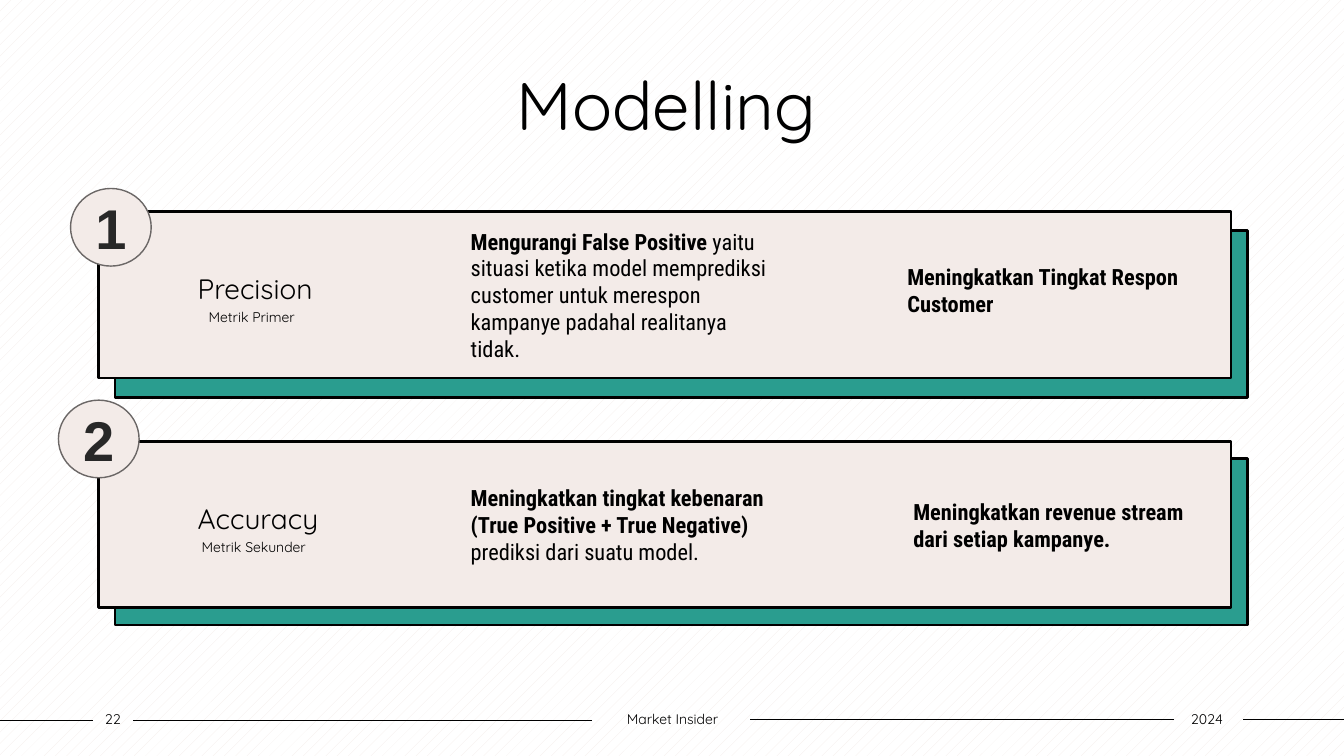
import pptx
import pptx.util
import pptx.dml.color
import pptx.enum.dml
import pptx.enum.shapes
import pptx.enum.text
import pptx.oxml

PX = 9144  # one hundredth of an inch
COLORS = {
    "black": "000000",
    "white": "FFFFFF",
    "teal": "2A9D8F",
    "cream": "F3EBE8",
    "ring": "6B6766",
    "ink": "282828",
}
SHAPE = pptx.enum.shapes.MSO_SHAPE
ALIGN = pptx.enum.text.PP_ALIGN
ANCHOR = pptx.enum.text.MSO_ANCHOR


def color(name):
    return pptx.dml.color.RGBColor.from_string(COLORS[name])


def emu(*lengths):
    return [length * PX for length in lengths]


def style(run, size, face, ink="black", bold=False):
    run.font.size = pptx.util.Pt(size)
    run.font.name = face
    run.font.color.rgb = color(ink)
    run.font.bold = bold


def frame(shape, insets=(10, 5, 10, 5), anchor=ANCHOR.MIDDLE):
    """Set wrapping, anchor and insets (left, top, right, bottom)."""
    text = shape.text_frame
    text.word_wrap = True
    text.vertical_anchor = anchor
    (text.margin_left, text.margin_top,
     text.margin_right, text.margin_bottom) = emu(*insets)
    return text


def add_rule(slide, start, end, y):
    line = slide.shapes.add_connector(
        pptx.enum.shapes.MSO_CONNECTOR.STRAIGHT, *emu(start, y, end, y))
    line.line.color.rgb = color("black")
    line.line.width = pptx.util.Pt(1)
    props = line._element.spPr
    props.append(pptx.oxml.parse_xml(
        '<a:effectLst xmlns:a="http://schemas.openxmlformats.org/drawingml/2006/main"/>'))


def add_form(slide, kind, box, fill, edge, width):
    shape = slide.shapes.add_shape(kind, *emu(*box))
    shape.shadow.inherit = False
    shape.fill.solid()
    shape.fill.fore_color.rgb = color(fill)
    shape.line.color.rgb = color(edge)
    shape.line.width = pptx.util.Pt(width)
    return shape


def add_label(slide, box, words, size):
    """Add a centred one-line text."""
    text = frame(slide.shapes.add_textbox(*emu(*box)), (0, 5, 0, 5), ANCHOR.TOP)
    text.text = words
    text.paragraphs[0].alignment = ALIGN.CENTER
    style(text.paragraphs[0].runs[0], size, "Quicksand")
    return text


def add_foot(slide, left, width, words):
    text = add_label(slide, (left, 700, width, 27), words, 10)
    text.vertical_anchor = ANCHOR.MIDDLE
    text.paragraphs[0].space_after = pptx.util.Pt(6)


def add_note(slide, box, strong, plain=""):
    """Add a paragraph that opens in bold and may go on in regular."""
    text = frame(slide.shapes.add_textbox(*emu(*box)))
    par = text.paragraphs[0]
    par.alignment = ALIGN.LEFT
    for words, bold in ((strong, True), (plain, False)):
        if words:
            run = par.add_run()
            run.text = words
            style(run, 16, "Roboto Condensed", bold=bold)


def add_card(slide, top, name, kind, indent):
    card = add_form(slide, SHAPE.RECTANGLE, (98, top, 1123, 165), "cream", "black", 2)
    text = frame(card, (98, 5, 710, 5))
    text.text = name
    text.add_paragraph().text = kind
    for par, size, left in zip(text.paragraphs, (20, 10), (0, indent)):
        par.alignment = ALIGN.LEFT
        par.line_spacing = 1.2
        par._p.get_or_add_pPr().set("marL", str(left * PX))
        style(par.runs[0], size, "Quicksand")


def add_badge(slide, left, top, digit):
    badge = add_form(slide, SHAPE.OVAL, (left, top, 80, 77), "cream", "ring", 1)
    text = frame(badge)
    text.text = digit
    text.paragraphs[0].alignment = ALIGN.CENTER
    style(text.paragraphs[0].runs[0], 40, "Arial", "ink", True)


def main():
    deck = pptx.Presentation()
    deck.slide_width, deck.slide_height = emu(1333, 750)
    slide = deck.slides.add_slide(deck.slide_layouts[6])
    back = slide.background.fill
    back.patterned()
    back.pattern = pptx.enum.dml.MSO_PATTERN.PERCENT_10
    back.fore_color.rgb = color("cream")
    back.back_color.rgb = color("white")

    for start, end, y in ((0, 92, 715), (132, 587, 715),
                          (744, 1164, 714), (1233, 1333, 714)):
        add_rule(slide, start, end, y)
    for top in (229, 455):
        add_form(slide, SHAPE.RECTANGLE, (114, top, 1123, 165), "teal", "black", 2)

    add_label(slide, (119, 58, 1084, 112), "Modelling", 48)
    add_card(slide, 210, "Precision", "Metrik Primer", 11)
    add_note(slide, (457, 220, 319, 145), "Mengurangi False Positive ",
             "yaitu situasi ketika model memprediksi customer untuk merespon "
             "kampanye padahal realitanya tidak.")
    add_card(slide, 438, "Accuracy", "Metrik Sekunder", 4)
    add_note(slide, (457, 448, 359, 145),
             "Meningkatkan tingkat kebenaran (True Positive + True Negative) ",
             "prediksi dari suatu model.")

    for left, width, words in ((92, 40, "22"), (587, 160, "Market Insider"),
                               (1162, 70, "2024")):
        add_foot(slide, left, width, words)
    add_badge(slide, 70, 187, "1")
    add_badge(slide, 58, 397, "2")
    add_note(slide, (890, 215, 319, 145), "Meningkatkan Tingkat Respon Customer")
    add_note(slide, (896, 448, 319, 145),
             "Meningkatkan revenue stream dari setiap kampanye.")
    deck.save("out.pptx")


if __name__ == "__main__":
    main()
